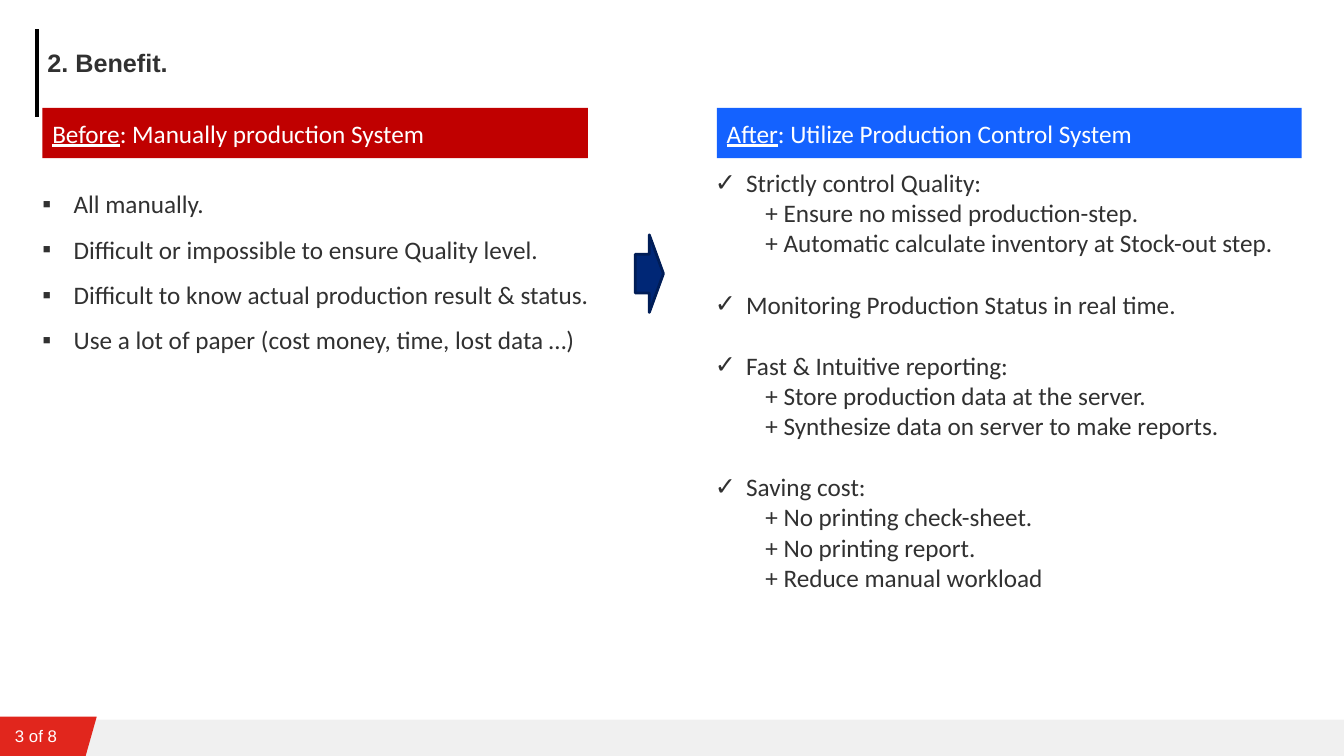
from lxml import etree
from pptx import Presentation
from pptx.dml.color import RGBColor
from pptx.enum.shapes import MSO_CONNECTOR, MSO_SHAPE
from pptx.enum.text import MSO_ANCHOR, MSO_AUTO_SIZE, PP_ALIGN
from pptx.oxml.ns import qn
from pptx.util import Inches, Pt

RECT, ARROW = MSO_SHAPE.RECTANGLE, MSO_SHAPE.RIGHT_ARROW
LINE = MSO_CONNECTOR.STRAIGHT
TOP, MIDDLE = MSO_ANCHOR.TOP, MSO_ANCHOR.MIDDLE
LEFT = PP_ALIGN.LEFT
FIXED = MSO_AUTO_SIZE.NONE

COLORS = {
    "ink": "313131", "white": "FFFFFF", "black": "000000", "tag": "E1261D",
    "before": "C00000", "after": "1462FF", "arrow": "002776", "edge": "001D57",
}

BEFORE = [
    ("All manually.", []),
    ("Difficult or impossible to ensure Quality level.", []),
    ("Difficult to know actual production result & status.", []),
    ("Use a lot of paper (cost money, time, lost data …)", []),
]
AFTER = [
    ("Strictly control Quality:", [
        "+ Ensure no missed production-step.",
        "+ Automatic calculate inventory at Stock-out step."]),
    ("Monitoring Production Status in real time.", []),
    ("Fast & Intuitive reporting:", [
        "+ Store production data at the server.",
        "+ Synthesize data on server to make reports."]),
    ("Saving cost:", [
        "+ No printing check-sheet.",
        "+ No printing report.",
        "+ Reduce manual workload"]),
]


def rgb(name):
    return RGBColor.from_string(COLORS[name])


def add_run(para, text, color, font="Calibri", size=18, bold=False, under=False):
    run = para.add_run()
    run.text = text
    face = run.font
    face.name, face.size, face.bold, face.underline = font, Pt(size), bold, under
    face.color.rgb = rgb(color)


def paint(shape, color):
    shape.shadow.inherit = False
    shape.fill.solid()
    shape.fill.fore_color.rgb = rgb(color)
    shape.line.fill.background()


def add_block(slide, kind, box, color):
    shape = slide.shapes.add_shape(kind, *map(Inches, box))
    paint(shape, color)
    return shape


def place(shape, box):
    shape.left, shape.top, shape.width, shape.height = map(Inches, box)
    frame = shape.text_frame
    frame.word_wrap = True
    frame.auto_size = FIXED
    frame.vertical_anchor = TOP
    return frame


def add_footer(slide, box):
    x, y, w, h = box
    band = add_block(slide, RECT, (x, y + 0.03, w, h - 0.03), "ink")
    tint = band.fill._xPr.find(".//" + qn("a:srgbClr"))
    etree.SubElement(tint, qn("a:alpha")).set("val", "7000")
    pen = slide.shapes.build_freeform(Inches(x), Inches(y))
    points = [(x + 0.96, y), (x + 0.85, y + h), (x, y + h)]
    pen.add_line_segments([(Inches(a), Inches(b)) for a, b in points])
    paint(pen.convert_to_shape(), "tag")
    label = slide.shapes.add_textbox(0, 0, 0, 0)
    frame = place(label, (x + 0.05, y + 0.04, 1.81, 0.3))
    add_run(frame.paragraphs[0], "3 of 8", "white", "Arial", 12)


def add_title(slide, box, text):
    x, y, w, h = box
    ends = map(Inches, (x, y, x, y + 0.87))
    rule = slide.shapes.add_connector(LINE, *ends)
    rule.line.color.rgb = rgb("black")
    rule.line.width = Pt(3)
    etree.SubElement(rule._element.spPr, qn("a:effectLst"))
    frame = place(slide.shapes.title, (x, y + 0.13, w, h - 0.13))
    para = frame.paragraphs[0]
    para.alignment = LEFT
    add_run(para, text, "ink", "Arial", bold=True)


def add_item(frame, text, first, mark, indent, gap, space):
    para = frame.paragraphs[0] if first else frame.add_paragraph()
    para.alignment = LEFT
    para.level = 0 if mark else 1
    para.line_spacing = space
    para.space_before = Pt(gap)
    para.space_after = Pt(0)
    props = para._p.get_or_add_pPr()
    props.set("marL", str(Inches(indent)))
    props.set("indent", str(Inches(-indent if mark else 0)))
    dot = etree.SubElement(props, qn("a:buChar" if mark else "a:buNone"))
    if mark:
        dot.set("char", mark)
    add_run(para, text, "ink")


def add_list(holder, box, groups, mark, gap, space):
    frame = place(holder, box)
    for i, (head, subs) in enumerate(groups):
        add_item(frame, head, i == 0, mark, 0.31, gap if i else 0, space)
        for sub in subs:
            add_item(frame, sub, False, None, 0.5, 0, space)


def add_head(slide, box, color, key, rest):
    bar = add_block(slide, RECT, box, color)
    frame = bar.text_frame
    frame.word_wrap = True
    frame.vertical_anchor = MIDDLE
    para = frame.paragraphs[0]
    para.alignment = LEFT
    add_run(para, key, "white", under=True)
    add_run(para, rest, "white")


def add_before(slide, box):
    x, y, w, h = box
    add_head(slide, (x, y, w, 0.5), "before", "Before",
             ": Manually production System")
    area = (x - 0.1, y + 0.6, w + 0.34, h - 0.6)
    add_list(slide.placeholders[1], area, BEFORE, "▪", 0, 1.5)


def add_after(slide, box):
    x, y, w, h = box
    add_head(slide, (x, y, w, 0.5), "after", "After",
             ": Utilize Production Control System")
    area = (x - 0.12, y + 0.54, w + 0.22, h - 0.54)
    add_list(slide.placeholders[2], area, AFTER, "✓", 22, 1.0)


def add_arrow(slide, box):
    arrow = add_block(slide, ARROW, box, "arrow")
    arrow.line.color.rgb = rgb("edge")
    arrow.line.width = Pt(2)


def main():
    deck = Presentation()
    deck.slide_width, deck.slide_height = Inches(13.33), Inches(7.5)
    slide = deck.slides.add_slide(deck.slide_layouts[3])
    add_footer(slide, (0, 7.11, 13.33, 0.39))
    add_title(slide, (0.37, 0.29, 11.86, 0.9), "2. Benefit.")
    add_before(slide, (0.42, 1.07, 5.41, 2.82))
    add_after(slide, (7.11, 1.07, 5.8, 4.88))
    add_arrow(slide, (6.3, 2.33, 0.28, 0.77))
    deck.save("out.pptx")


if __name__ == "__main__":
    main()
